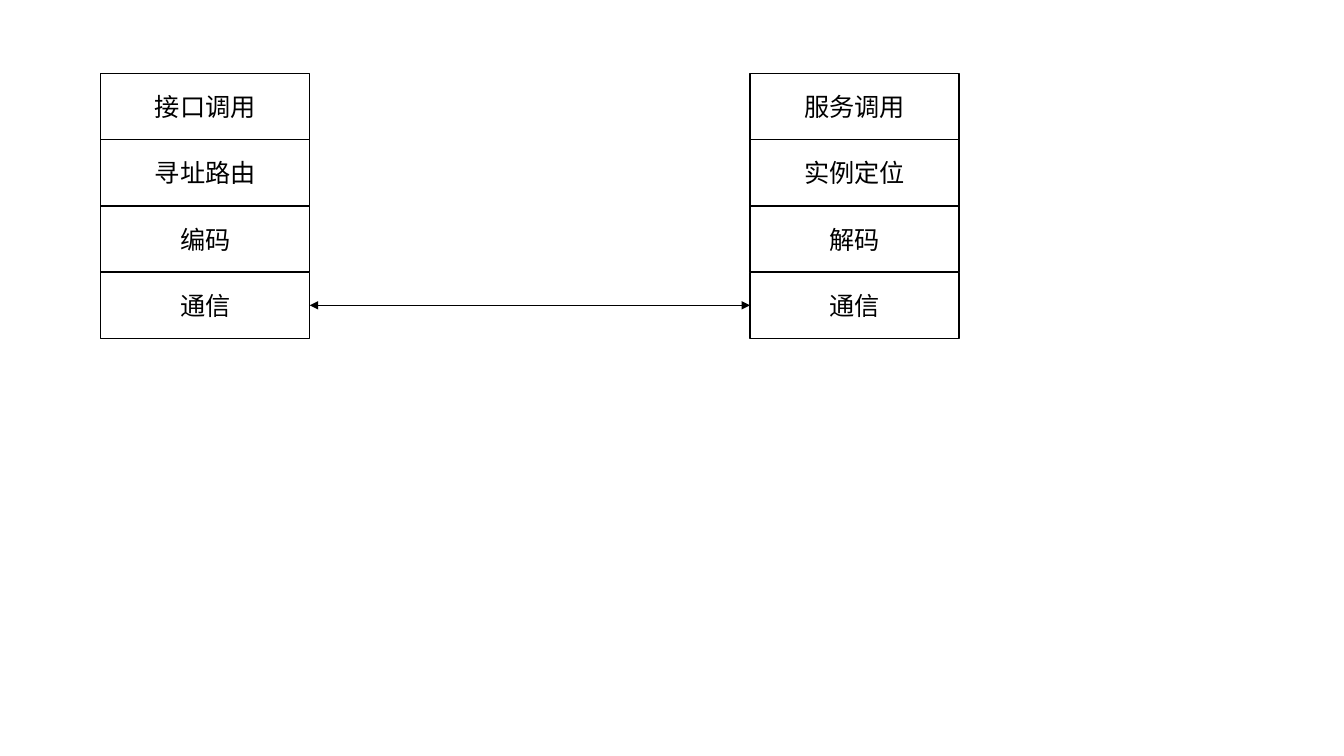
import pptx
import pptx.util
import pptx.dml.color
import pptx.enum.shapes
import pptx.enum.text
import pptx.oxml.ns
import lxml.etree

Pt = pptx.util.Pt

# Content: each stack has a left edge and its layers from top to bottom
STACKS = [
    (72, ["接口调用", "寻址路由", "编码", "通信"]),
    (535.7, ["服务调用", "实例定位", "解码", "通信"]),
]
COLORS = {"fill": "FFFFFF", "ink": "000000"}
TOP, BOX_W, BOX_H = 52.4, 149.3, 47.35


def rgb(name):
    return pptx.dml.color.RGBColor.from_string(COLORS[name])


def add_box(slide, left, top, text):
    sp = slide.shapes.add_shape(pptx.enum.shapes.MSO_SHAPE.RECTANGLE,
                                Pt(left), Pt(top), Pt(BOX_W), Pt(BOX_H))
    sp.shadow.inherit = False
    sp.fill.solid()
    sp.fill.fore_color.rgb = rgb("fill")
    sp.line.color.rgb = rgb("ink")
    sp.line.width = Pt(1)
    tf = sp.text_frame
    tf.vertical_anchor = pptx.enum.text.MSO_ANCHOR.MIDDLE
    p = tf.paragraphs[0]
    p.text = text
    p.alignment = pptx.enum.text.PP_ALIGN.CENTER
    p.font.size = Pt(18)
    p.font.name = "Calibri"
    p.font.color.rgb = rgb("ink")
    return sp


def add_double_arrow(slide, start, end):
    cn = slide.shapes.add_connector(pptx.enum.shapes.MSO_CONNECTOR.STRAIGHT, 0, 0, 0, 0)
    cn.begin_connect(start, 3)
    cn.end_connect(end, 1)
    cn.line.color.rgb = rgb("ink")
    cn.line.width = Pt(0.5)
    qn = pptx.oxml.ns.qn
    ln = cn.line._get_or_add_ln()
    for tag in ("a:headEnd", "a:tailEnd"):
        lxml.etree.SubElement(ln, qn(tag), type="triangle")
    lxml.etree.SubElement(cn._element.spPr, qn("a:effectLst"))


def main():
    prs = pptx.Presentation()
    prs.slide_width, prs.slide_height = Pt(960), Pt(540)
    s = prs.slides.add_slide(prs.slide_layouts[6])

    # Caller and service stacks
    stacks = [[add_box(s, left, TOP + i * BOX_H, text) for i, text in enumerate(layers)]
              for left, layers in STACKS]

    # Link between the two communication layers
    caller, service = stacks
    add_double_arrow(s, caller[-1], service[-1])

    prs.save("out.pptx")


if __name__ == "__main__":
    main()
